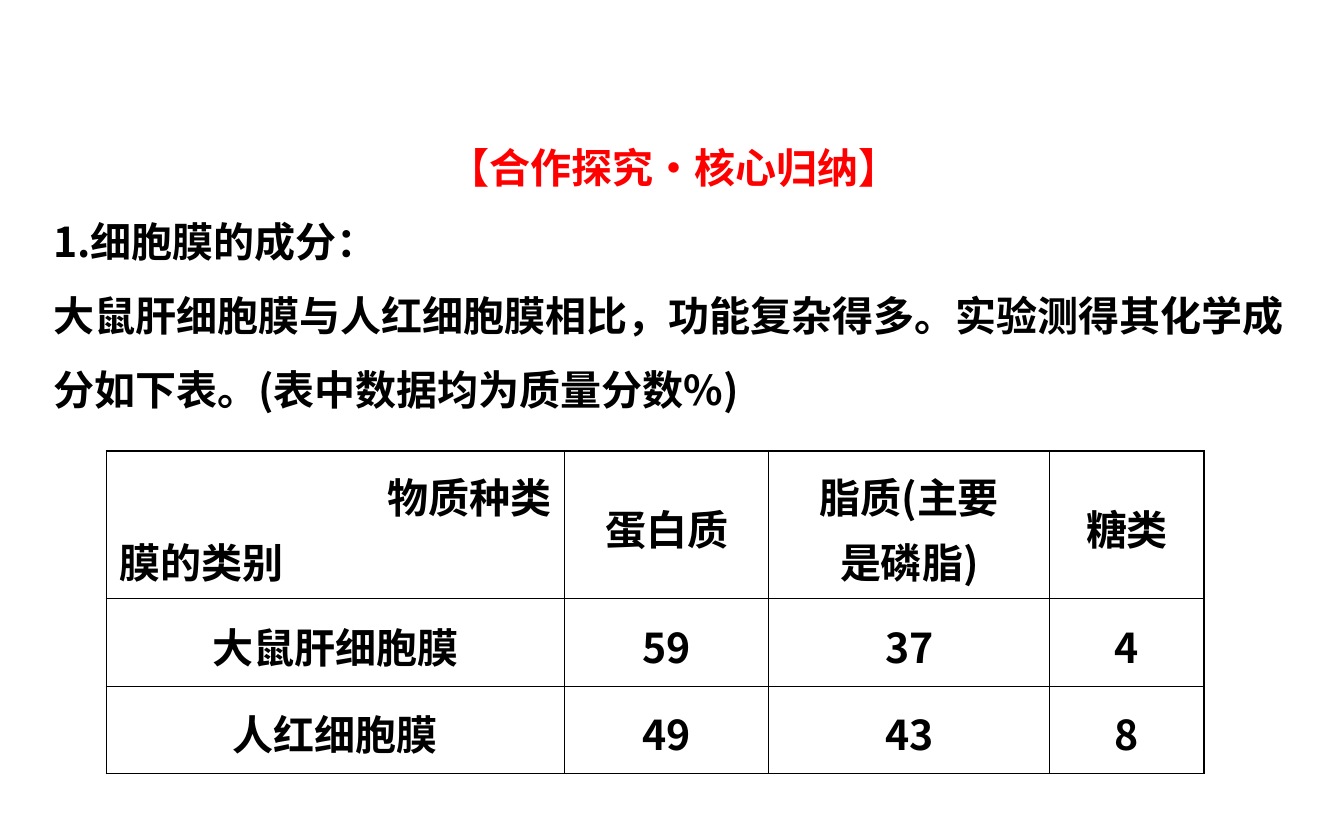
from lxml.etree import SubElement
from pptx import Presentation
from pptx.dml.color import RGBColor
from pptx.enum.text import MSO_ANCHOR, MSO_AUTO_SIZE, PP_ALIGN
from pptx.oxml.ns import qn
from pptx.util import Cm, Pt

RED = RGBColor(0xFF, 0x00, 0x00)
BLACK = RGBColor(0x00, 0x00, 0x00)
FACE = "Noto Sans CJK SC"
THIN, THICK = Pt(0.45), Pt(0.96)
LEAD = Pt(39.6)

HEAD = "【合作探究·核心归纳】"
BODY = (
    "1.细胞膜的成分：\n"
    "大鼠肝细胞膜与人红细胞膜相比，功能复杂得多。"
    "实验测得其化学成分如下表。(表中数据均为质量分数%)"
)
ROWS = [
    ["物质种类\n膜的类别", "蛋白质", "脂质(主要\n是磷脂)", "糖类"],
    ["大鼠肝细胞膜", "59", "37", "4"],
    ["人红细胞膜", "49", "43", "8"],
]
WIDTHS = [8.66, 3.86, 5.31, 2.92]
HEIGHTS = [2.79, 1.65, 1.65]


def write(frame, text, color, align, lead):
    """Fill a text frame with bold text in one style."""
    frame.text = text
    frame.word_wrap = True
    for para in frame.paragraphs:
        para.alignment = align
        para.line_spacing = lead
        para.space_before = Pt(0)
        for run in para.runs:
            font = run.font
            font.name, font.size, font.bold = FACE, Pt(22), True
            font.color.rgb = color
            east = SubElement(font._element, qn("a:ea"))
            east.set("typeface", FACE)


def place(shape, top, height, text, color, align):
    """Set a full-width text shape with fixed line spacing."""
    shape.left, shape.top = Cm(0.76), Cm(top)
    shape.width, shape.height = Cm(23.95), Cm(height)
    frame = shape.text_frame
    frame.auto_size = MSO_AUTO_SIZE.NONE
    frame.vertical_anchor = MSO_ANCHOR.TOP
    write(frame, text, color, align, LEAD)


def border(cell, side, width):
    """Draw one black border of a cell."""
    line = SubElement(cell._tc.get_or_add_tcPr(), qn(f"a:ln{side}"), w=str(int(width)))
    fill = SubElement(line, qn("a:solidFill"))
    SubElement(fill, qn("a:srgbClr"), val=str(BLACK))


def style(cell, text, edges):
    """Write a cell and give it borders, thick on the outer edges."""
    write(cell.text_frame, text, BLACK, PP_ALIGN.CENTER, 1.1)
    cell.vertical_anchor = MSO_ANCHOR.MIDDLE
    for side, outer in edges.items():
        border(cell, side, THICK if outer else THIN)
    cell.fill.background()


def add_grid(slide):
    """Add the table of membrane components."""
    frame = slide.shapes.add_table(
        len(ROWS), len(WIDTHS), Cm(2.01), Cm(8.53), Cm(sum(WIDTHS)), Cm(sum(HEIGHTS))
    )
    table = frame.table
    table.first_row = table.horz_banding = False
    for col, width in zip(table.columns, WIDTHS):
        col.width = Cm(width)
    for row, height in zip(table.rows, HEIGHTS):
        row.height = Cm(height)
    for i, texts in enumerate(ROWS):
        for j, text in enumerate(texts):
            edges = {
                "L": j == 0,
                "R": j == len(WIDTHS) - 1,
                "T": i == 0,
                "B": i == len(ROWS) - 1,
            }
            style(table.cell(i, j), text, edges)
    kind, group = table.cell(0, 0).text_frame.paragraphs
    kind.alignment, group.alignment = PP_ALIGN.RIGHT, PP_ALIGN.LEFT


def main():
    """Build and save the slide."""
    deck = Presentation()
    deck.slide_width, deck.slide_height = Cm(25.4), Cm(15.88)
    slide = deck.slides.add_slide(deck.slide_layouts[5])
    place(slide.shapes.title, 2.1, 1.65, HEAD, RED, PP_ALIGN.CENTER)
    box = slide.shapes.add_textbox(0, 0, 0, 0)
    place(box, 3.5, 4.45, BODY, BLACK, PP_ALIGN.LEFT)
    add_grid(slide)
    deck.save("out.pptx")


if __name__ == "__main__":
    main()
